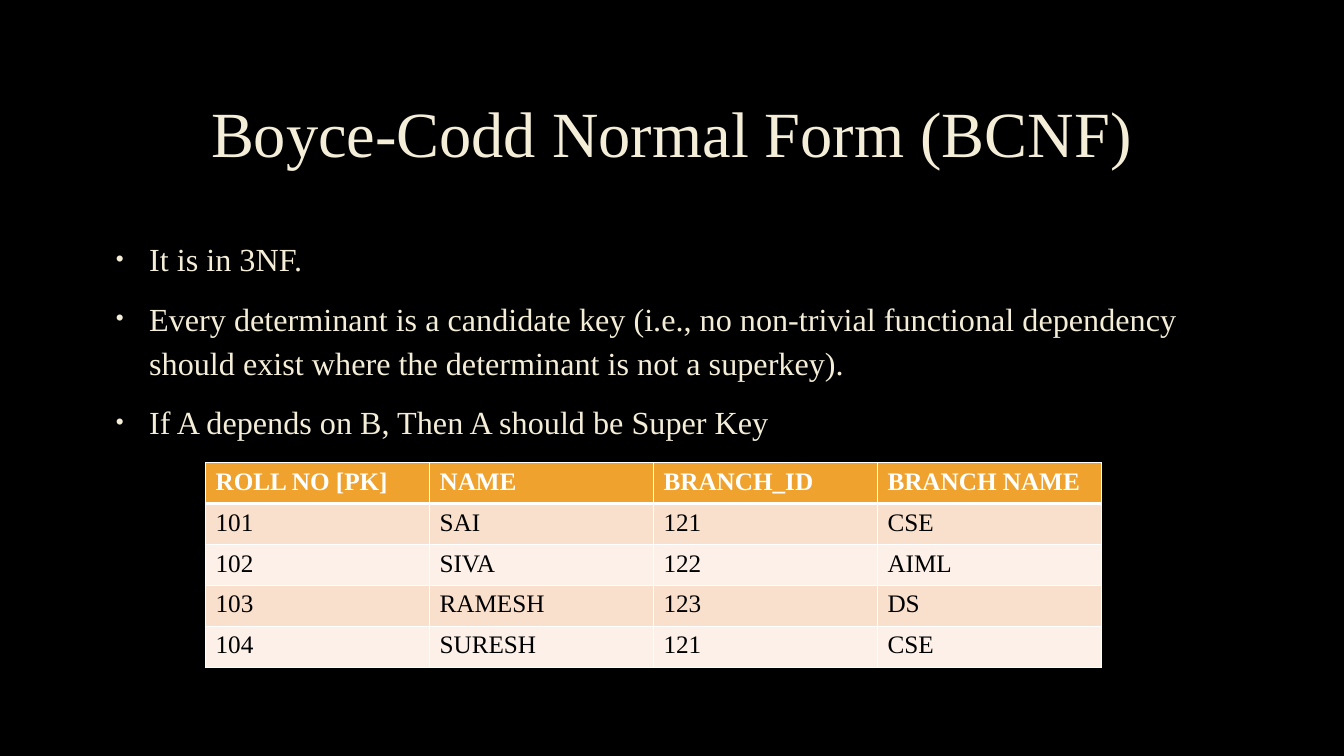
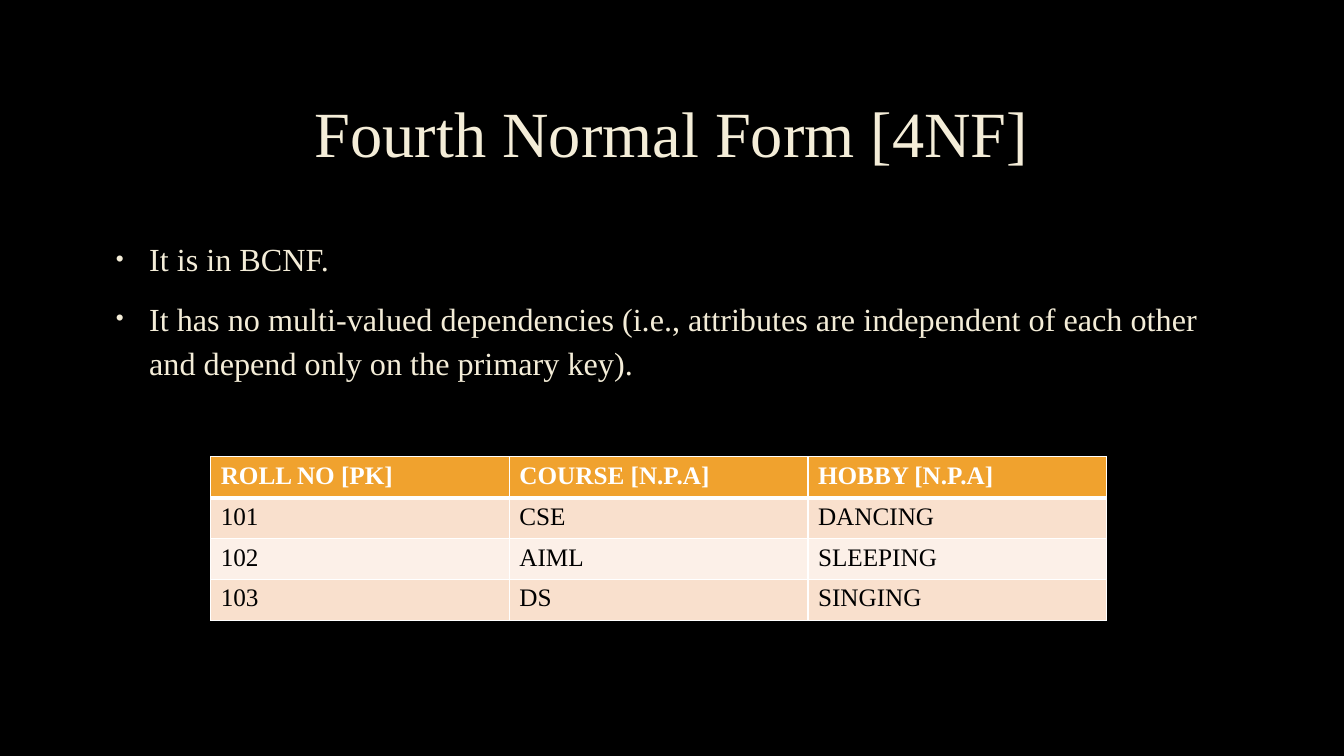
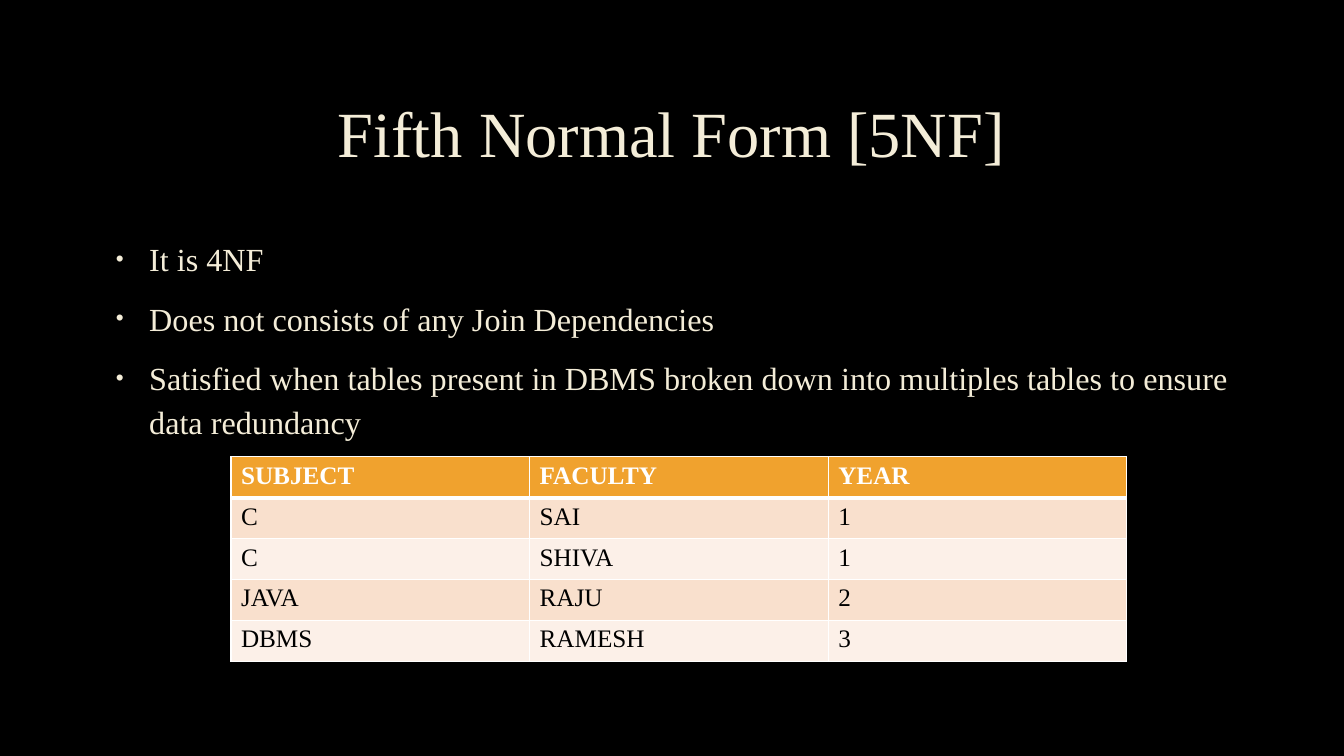
from lxml.etree import SubElement
from pptx import Presentation
from pptx.dml.color import RGBColor
from pptx.enum.text import MSO_ANCHOR as Anchor, PP_ALIGN as Align
from pptx.oxml.ns import qn
from pptx.util import Cm, Pt

COLOURS = {
    "background": "000000", "cream": "F4EDD8", "header": "F0A22E",
    "odd_row": "F9E0CD", "even_row": "FCF0E8",
    "white": "FFFFFF", "black": "000000",
}
FONT = "Times New Roman"
TITLE_FORMAT = {"alignment": Align.CENTER, "line_spacing": 0.9}
BULLET_FORMAT = {"line_spacing": 1.15, "space_before": Pt(4.6), "space_after": Pt(6)}
BULLET_INDENT = {"marL": Cm(0.97), "indent": -Cm(0.84)}
TABLE_WIDTH, ROW_HEIGHT = 22.58, 1.03

SLIDES = [
    {
        "title": "Boyce-Codd Normal Form (BCNF)",
        "bullets": [
            "It is in 3NF.",
            "Every determinant is a candidate key (i.e., no non-trivial functional "
            "dependency should exist where the determinant is not a superkey).",
            "If A depends on B, Then A should be Super Key",
        ],
        "table_at": (5.18, 11.66),
        "rows": [
            ("ROLL NO [PK]", "NAME", "BRANCH_ID", "BRANCH NAME"),
            ("101", "SAI", "121", "CSE"),
            ("102", "SIVA", "122", "AIML"),
            ("103", "RAMESH", "123", "DS"),
            ("104", "SURESH", "121", "CSE"),
        ],
    },
    {
        "title": "Fourth Normal Form [4NF]",
        "bullets": [
            "It is in BCNF.",
            "It has no multi-valued dependencies (i.e., attributes are independent "
            "of each other and depend only on the primary key).",
        ],
        "table_at": (5.31, 11.51),
        "rows": [
            ("ROLL NO [PK]", "COURSE [N.P.A]", "HOBBY [N.P.A]"),
            ("101", "CSE", "DANCING"),
            ("102", "AIML", "SLEEPING"),
            ("103", "DS", "SINGING"),
        ],
    },
    {
        "title": "Fifth Normal Form [5NF]",
        "bullets": [
            "It is 4NF",
            "Does not consists of any Join Dependencies",
            "Satisfied when tables present in DBMS broken down into multiples "
            "tables to ensure data redundancy",
        ],
        "table_at": (5.82, 11.51),
        "rows": [
            ("SUBJECT", "FACULTY", "YEAR"),
            ("C", "SAI", "1"),
            ("C", "SHIVA", "1"),
            ("JAVA", "RAJU", "2"),
            ("DBMS", "RAMESH", "3"),
        ],
    },
]


class Deck:
    """Holds the shared style and the current slide."""

    def __init__(self):
        self.presentation = Presentation()
        self.presentation.slide_width = Cm(33.87)
        self.presentation.slide_height = Cm(19.05)
        self.fill(self.presentation.slide_master.background, "background")
        self.slide = None

    @staticmethod
    def fill(target, colour):
        target.fill.solid()
        target.fill.fore_color.rgb = RGBColor.from_string(COLOURS[colour])

    @staticmethod
    def add_text(paragraph, text, size, colour, bold=False, **formats):
        for name, value in formats.items():
            setattr(paragraph, name, value)
        run = paragraph.add_run()
        run.text = text
        for name, value in {"name": FONT, "size": Pt(size), "bold": bold}.items():
            setattr(run.font, name, value)
        run.font.color.rgb = RGBColor.from_string(COLOURS[colour])

    def new_slide(self, text):
        layout = self.presentation.slide_layouts[5]
        self.slide = self.presentation.slides.add_slide(layout)
        title = self.slide.shapes.title
        place = {"left": 2.54, "top": 1.7, "width": 28.75, "height": 3.51}
        for name, value in place.items():
            setattr(title, name, Cm(value))
        title.text_frame.vertical_anchor = Anchor.MIDDLE
        self.add_text(title.text_frame.paragraphs[0], text, 46, "cream", **TITLE_FORMAT)

    def bullets(self, lines):
        box = self.slide.shapes.add_textbox(Cm(2.54), Cm(5.77), Cm(28.75), Cm(10.31))
        frame = box.text_frame
        frame.word_wrap = True
        for index, line in enumerate(lines):
            paragraph = frame.add_paragraph() if index else frame.paragraphs[0]
            self.add_text(paragraph, line, 23, "cream", **BULLET_FORMAT)
            self.add_bullet(paragraph)

    @staticmethod
    def add_bullet(paragraph):
        properties = paragraph._p.get_or_add_pPr()
        for name, value in BULLET_INDENT.items():
            properties.set(name, str(int(value)))
        colour = SubElement(properties, qn("a:buClr"))
        SubElement(colour, qn("a:srgbClr"), val=COLOURS["cream"])
        SubElement(properties, qn("a:buSzPct"), val="70000")
        SubElement(properties, qn("a:buFont"), typeface="Arial")
        SubElement(properties, qn("a:buChar"), char="•")

    def table(self, left, top, rows):
        columns = len(rows[0])
        frame = self.slide.shapes.add_table(
            len(rows), columns, Cm(left), Cm(top),
            Cm(TABLE_WIDTH), Cm(ROW_HEIGHT * len(rows)))
        table = frame.table
        for column in table.columns:
            column.width = Cm(TABLE_WIDTH / columns)
        for row_index, row in enumerate(rows):
            table.rows[row_index].height = Cm(ROW_HEIGHT)
            for column_index, text in enumerate(row):
                self.cell(table.cell(row_index, column_index), text, row_index)

    def cell(self, cell, text, row_index):
        header = row_index == 0
        band = "odd_row" if row_index % 2 else "even_row"
        self.add_text(cell.text_frame.paragraphs[0], text, 18,
                      "white" if header else "black", bold=header)
        # Borders come before the fill in the cell properties
        properties = cell._tc.get_or_add_tcPr()
        widths = {"L": 1, "R": 1, "T": 3 if row_index == 1 else 1, "B": 3 if header else 1}
        for side, width in widths.items():
            line = SubElement(properties, qn(f"a:ln{side}"), w=str(int(Pt(width))))
            solid = SubElement(line, qn("a:solidFill"))
            SubElement(solid, qn("a:srgbClr"), val=COLOURS["white"])
        self.fill(cell, "header" if header else band)


def main():
    deck = Deck()
    for content in SLIDES:
        deck.new_slide(content["title"])
        deck.bullets(content["bullets"])
        deck.table(*content["table_at"], content["rows"])
    deck.presentation.save("out.pptx")


if __name__ == "__main__":
    main()
